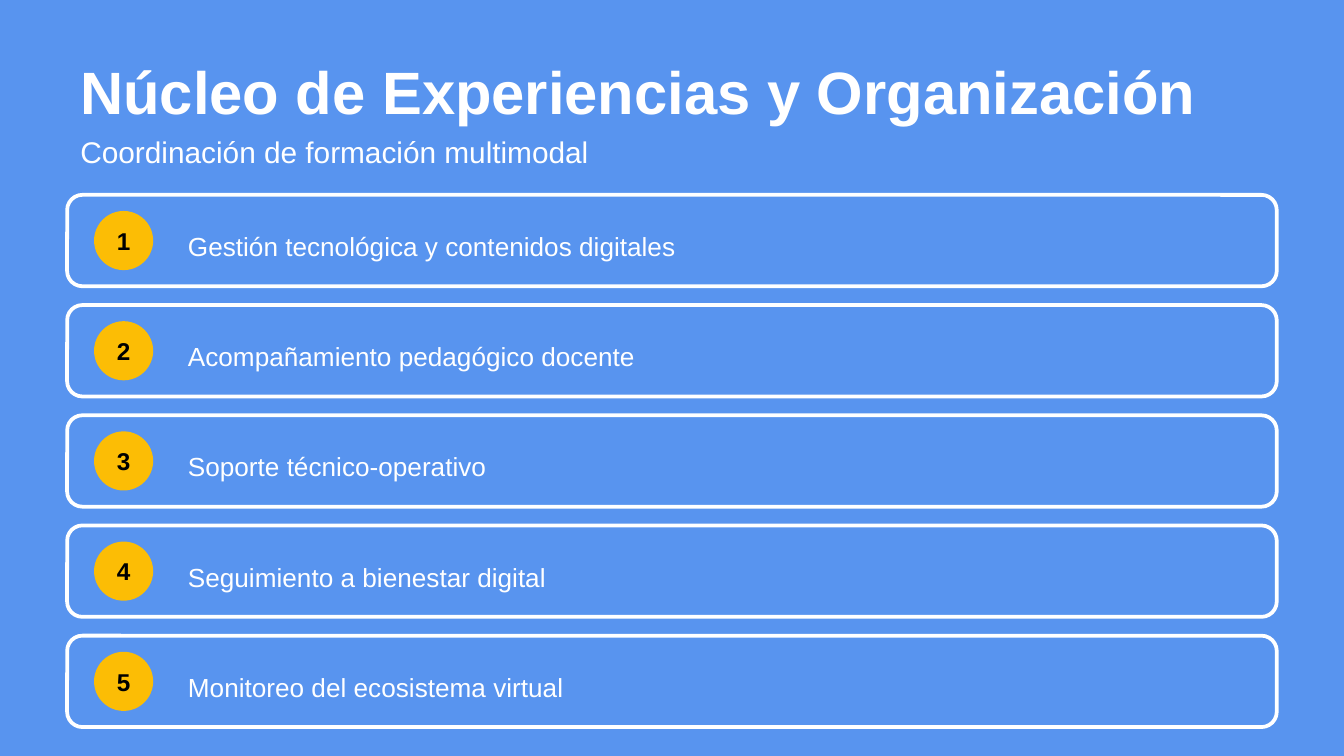
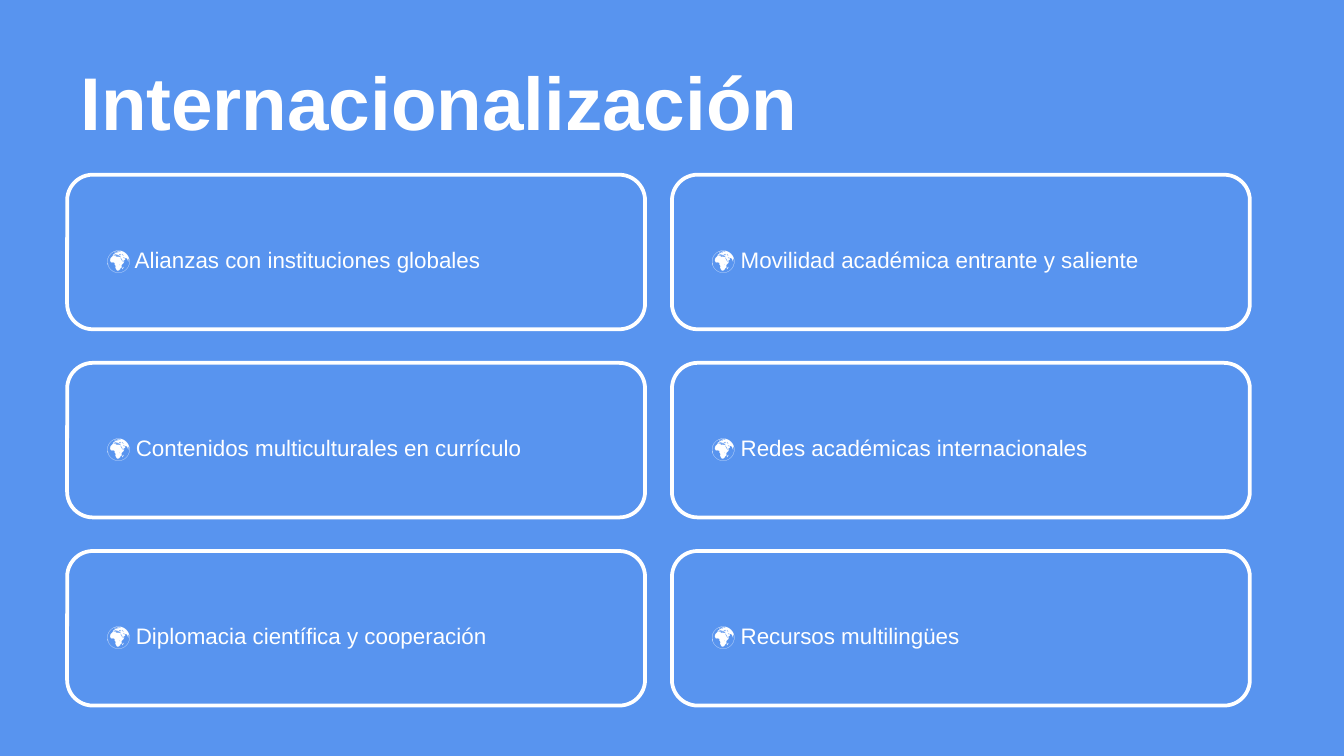
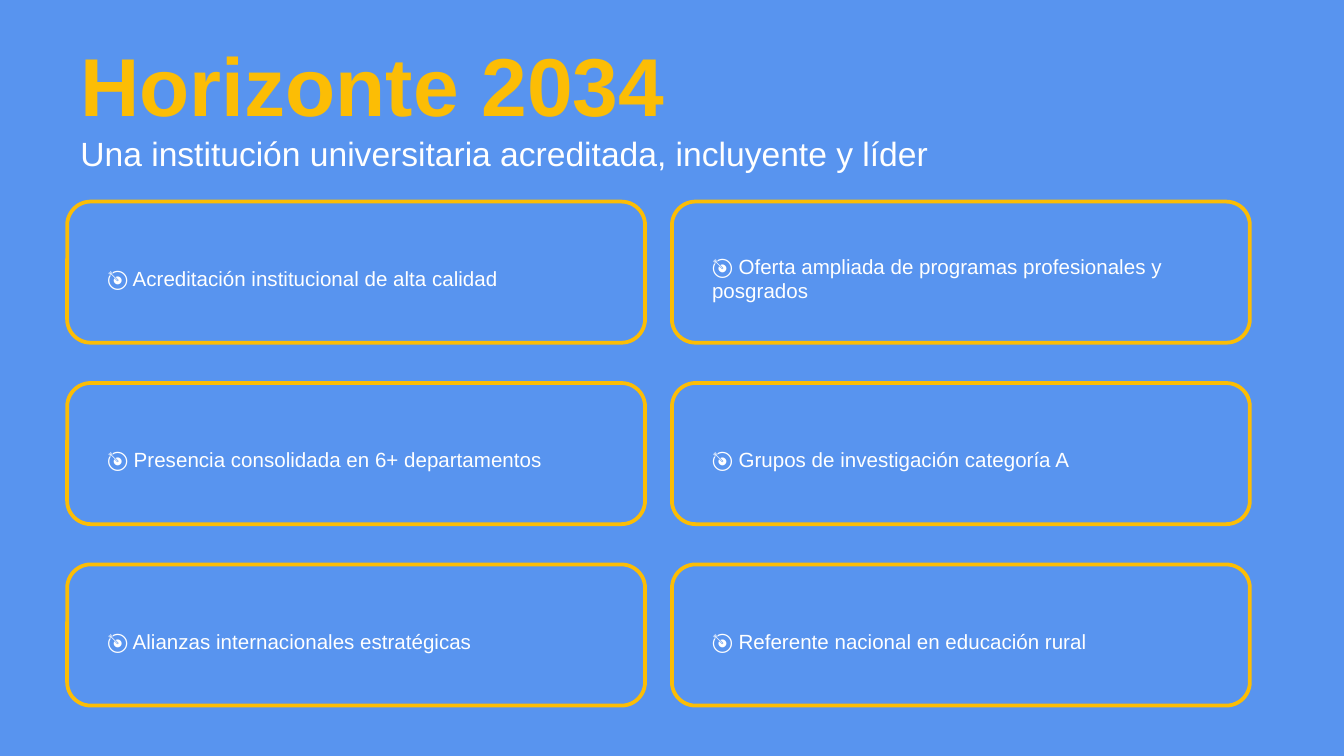
from lxml.etree import SubElement
from pptx import Presentation
from pptx.dml.color import RGBColor
from pptx.enum.shapes import MSO_SHAPE
from pptx.enum.text import MSO_ANCHOR, PP_ALIGN
from pptx.oxml.ns import qn
from pptx.util import Inches, Pt

COLORS = {"blue": "5894EF", "gold": "FCBD05", "white": "FFFFFF", "black": "000000"}
FONT_NAME = "Arial"
LEFT = 0.5
FULL_WIDTH = 9

DUTIES = [
    "Gestión tecnológica y contenidos digitales",
    "Acompañamiento pedagógico docente",
    "Soporte técnico-operativo",
    "Seguimiento a bienestar digital",
    "Monitoreo del ecosistema virtual",
]
GLOBAL_ACTIONS = [
    "Alianzas con instituciones globales",
    "Movilidad académica entrante y saliente",
    "Contenidos multiculturales en currículo",
    "Redes académicas internacionales",
    "Diplomacia científica y cooperación",
    "Recursos multilingües",
]
GOALS = [
    "Acreditación institucional de alta calidad",
    "Oferta ampliada de programas profesionales y posgrados",
    "Presencia consolidada en 6+ departamentos",
    "Grupos de investigación categoría A",
    "Alianzas internacionales estratégicas",
    "Referente nacional en educación rural",
]


def rgb(color):
    return RGBColor.from_string(COLORS[color])


def new_slide(deck):
    slide = deck.slides.add_slide(deck.slide_layouts[6])
    slide.background.fill.solid()
    slide.background.fill.fore_color.rgb = rgb("blue")
    return slide


def add_text(slide, box, text, size, color="white", bold=False, align=PP_ALIGN.LEFT):
    frame = slide.shapes.add_textbox(*map(Inches, box)).text_frame
    frame.word_wrap = True
    frame.vertical_anchor = MSO_ANCHOR.MIDDLE
    paragraph = frame.paragraphs[0]
    paragraph.alignment = align
    run = paragraph.add_run()
    run.text = text
    font_format = {"name": FONT_NAME, "size": Pt(size), "bold": bold}
    for attribute, value in font_format.items():
        setattr(run.font, attribute, value)
    run.font.color.rgb = rgb(color)


def add_solid(slide, preset, box, fill):
    solid = slide.shapes.add_shape(preset, *map(Inches, box))
    solid.shadow.inherit = False
    solid.fill.solid()
    solid.fill.fore_color.rgb = rgb(fill)
    solid.line.fill.background()
    return solid


def add_card(slide, box, border):
    """Draw a rounded card with a 60 % opaque fill and a coloured border."""
    card = add_solid(slide, MSO_SHAPE.ROUNDED_RECTANGLE, box, "blue")
    fill_color = next(card.fill._xPr.iter(qn("a:srgbClr")))
    SubElement(fill_color, qn("a:alpha"), val="60000")
    card.line.color.rgb = rgb(border)
    card.line.width = Pt(2)


def add_heading(slide, text, top, height, size, color="white"):
    add_text(slide, (LEFT, top, FULL_WIDTH, height), text, size, color, bold=True)


def add_subtitle(slide, text, height, size):
    add_text(slide, (LEFT, 0.95, FULL_WIDTH, height), text, size)


def add_numbered_rows(slide, duties, top=1.45, step=0.82):
    for index, duty in enumerate(duties):
        y = top + index * step
        add_card(slide, (LEFT, y, FULL_WIDTH, 0.68), "white")
        add_solid(slide, MSO_SHAPE.OVAL, (0.7, y + 0.12, 0.44, 0.44), "gold")
        add_text(slide, (0.7, y + 0.14, 0.44, 0.4), str(index + 1), 13,
                 "black", bold=True, align=PP_ALIGN.CENTER)
        add_text(slide, (1.3, y + 0.18, 8, 0.4), duty, 14)


def add_card_grid(slide, entries, icon, top, height, gap, text_drop, size, border):
    """Lay cards in two columns; text_drop is the text's offset from the card top."""
    for index, entry in enumerate(entries):
        row, column = divmod(index, 2)
        x = LEFT + column * 4.5
        y = top + row * (height + gap)
        add_card(slide, (x, y, 4.3, height), border)
        add_text(slide, (x + 0.2, y + text_drop, 4, 0.5), f"{icon} {entry}", size)


def add_organization(deck):
    slide = new_slide(deck)
    add_heading(slide, "Núcleo de Experiencias y Organización", 0.4, 0.55, 32)
    add_subtitle(slide, "Coordinación de formación multimodal", 0.35, 16)
    add_numbered_rows(slide, DUTIES)


def add_internationalization(deck):
    slide = new_slide(deck)
    add_heading(slide, "Internacionalización", 0.4, 0.7, 40)
    add_card_grid(slide, GLOBAL_ACTIONS, "🌍", top=1.3, height=1.15, gap=0.25,
                  text_drop=0.38, size=12, border="white")


def add_horizon(deck):
    slide = new_slide(deck)
    add_heading(slide, "Horizonte 2034", 0.3, 0.65, 44, "gold")
    add_subtitle(slide, "Una institución universitaria acreditada, incluyente y líder", 0.38, 18)
    add_card_grid(slide, GOALS, "🎯", top=1.5, height=1.05, gap=0.3,
                  text_drop=0.32, size=11, border="gold")


def main():
    deck = Presentation()
    deck.slide_width = Inches(10)
    deck.slide_height = Inches(10) * 9 // 16
    add_organization(deck)
    add_internationalization(deck)
    add_horizon(deck)
    deck.save("out.pptx")


if __name__ == "__main__":
    main()
